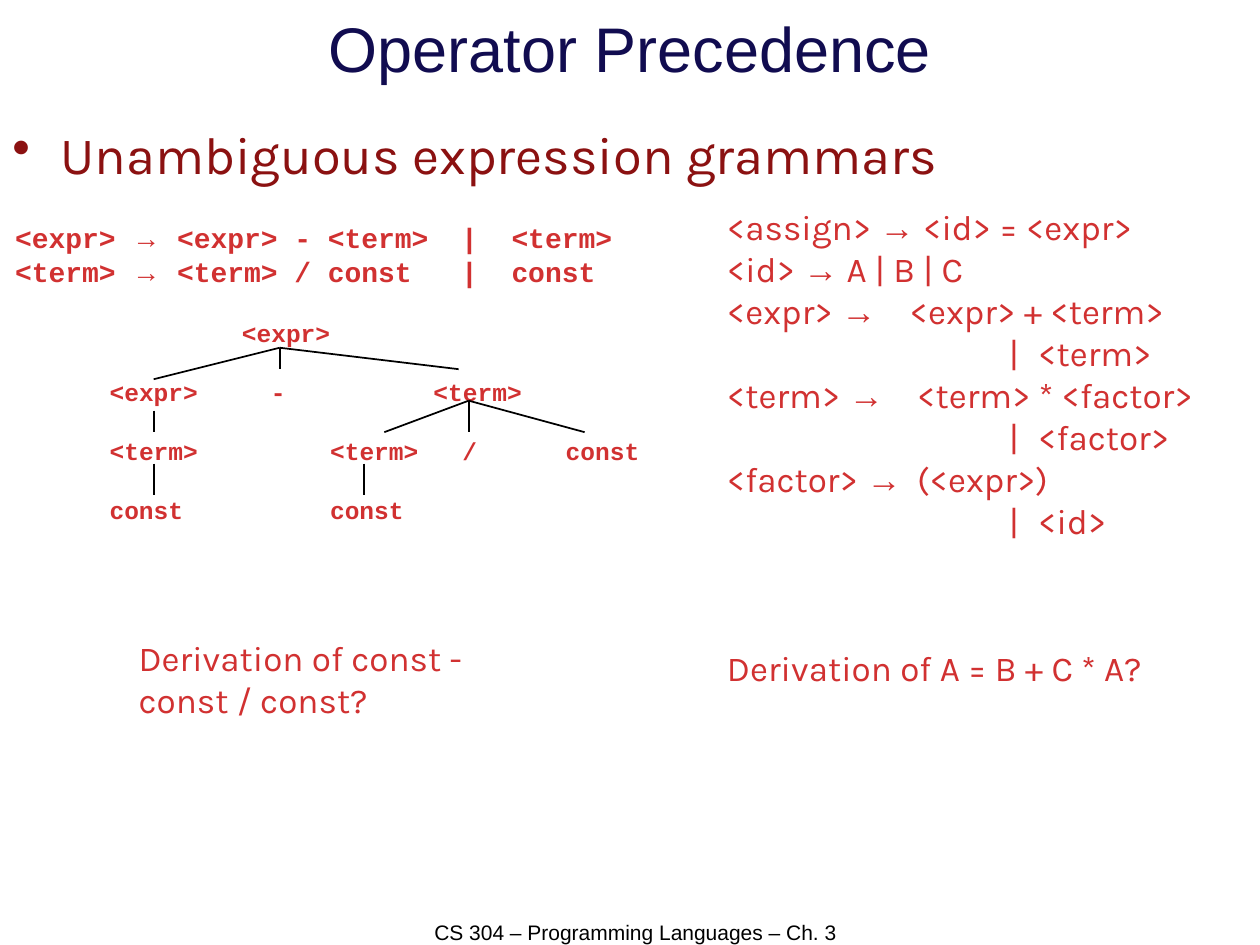
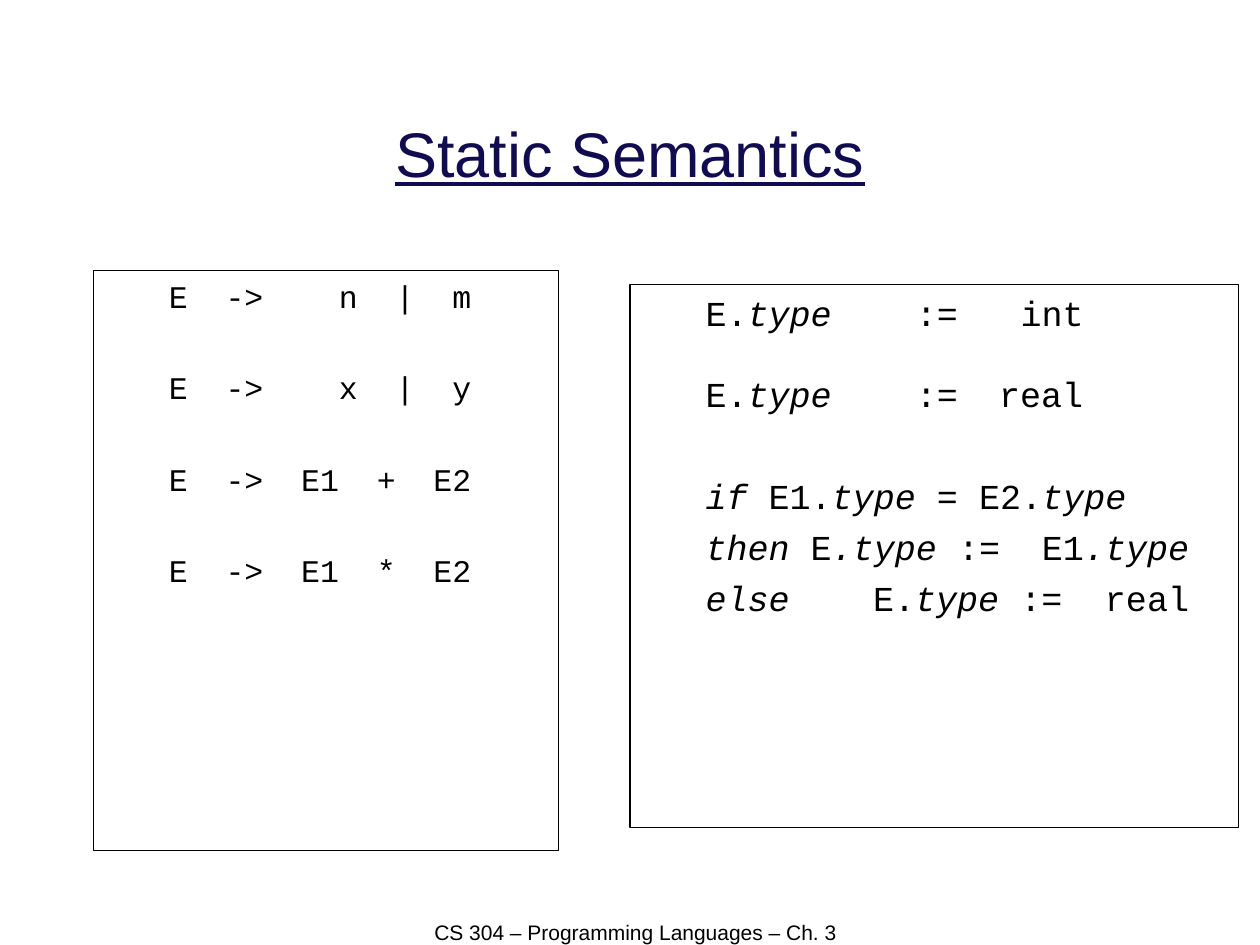
from itertools import groupby

from lxml import etree
from pptx import Presentation
from pptx import util as u
from pptx.dml.color import RGBColor
from pptx.enum import shapes, text
from pptx.oxml import ns

COLORS = {"title": "110C50", "heading": "8B1111", "grammar": "D13131", "black": "000000"}
FOOTER = "CS 304 – Programming Languages – Ch. 3"
INSETS = (0.1, 0.05, 0.1, 0.05)

# Text styles: underscores in the wording switch italics on and off
TITLE = {"name": "Arial", "size": 36, "color": "title"}
FOOTER_STYLE = {"name": "Arial", "size": 12, "color": "black"}
HEADING = {"name": "Karla", "size": 30, "color": "heading"}
RULE = {"name": "Karla", "size": 20, "color": "grammar"}
CODE = {"name": "Courier New", "size": 16, "color": "grammar", "bold": True}
NODE = {**CODE, "size": 14}
PRODUCTION = {"name": "Courier New", "size": 18, "color": "black"}
ACTION = {**PRODUCTION, "size": 20}

# Lines of text: (wording, tab stops in inches, space before in points)
CODE_STOPS = (3.54, 3.94)
CODE_GRAMMAR = [
    ("<expr> → <expr> - <term>\t|\t<term>", CODE_STOPS, 0),
    ("<term> → <term> / const\t|\tconst", CODE_STOPS, 0),
]
ALTERNATIVE_STOPS = (2.24, 2.47)
ASSIGN_GRAMMAR = [
    ("<assign> → <id> = <expr>", (), 0),
    ("<id> → A | B | C", (), 0),
    ("<expr> →\t<expr> + <term>", (1.45,), 0),
    ("\t|\t<term>", ALTERNATIVE_STOPS, 0),
    ("<term> →\t<term> * <factor>", (1.51,), 0),
    ("\t|\t<factor>", ALTERNATIVE_STOPS, 0),
    ("<factor> →\t(<expr>)", (1.51,), 0),
    ("\t|\t<id>", ALTERNATIVE_STOPS, 0),
]

# Parse tree: each level holds (left, symbol)
TREE_TOP, TREE_STEP, NODE_HEIGHT, NODE_CHARACTER = 2.52, 0.47, 0.22, 0.12
TREE_LEVELS = [
    [(1.92, "<expr>")],
    [(0.87, "<expr>"), (2.15, "-"), (3.44, "<term>")],
    [(0.87, "<term>"), (2.62, "<term>"), (3.67, "/"), (4.49, "const")],
    [(0.87, "const"), (2.62, "const")],
]
# Branches: parent point, then the points of its children
TREE_BRANCHES = [
    ((2.22, 2.76), [(1.22, 3.01), (2.22, 2.93), (3.64, 2.93)]),
    ((1.22, 3.26), [(1.22, 3.43)]),
    ((1.22, 3.68), [(1.22, 3.93)]),
    ((3.72, 3.18), [(3.05, 3.43), (3.72, 3.43), (4.64, 3.43)]),
    ((2.89, 3.68), [(2.89, 3.93)]),
]

TERMINAL_STOPS = (0.45, 1.35, 1.8, 2.25)
OPERATION_STOPS = (0.45, 1.05, 1.65, 2.1)
PRODUCTIONS = [
    ("E\t->\tn\t|\tm", TERMINAL_STOPS, 3),
    ("E\t->\tx\t|\ty", TERMINAL_STOPS, 30.6),
    ("E\t->\tE1\t+\tE2", OPERATION_STOPS, 30.6),
    ("E\t->\tE1\t*\tE2", OPERATION_STOPS, 30.6),
]
ACTIONS = [
    ("E._type_\t:=\tint", (1.67, 2.5), 4),
    ("E._type_\t:=\treal", (1.67, 2.33), 22),
    ("_if_ E1._type_ = E2._type_", (), 33.4),
    ("_then_ E_.type_ :=\tE1_.type_", (2.67,), 5),
    ("_else_\tE._type_ :=\treal", (1.33, 3.17), 5),
]


def color(name):
    return RGBColor.from_string(COLORS[name])


def add_runs(paragraph, wording, style):
    for index, part in enumerate(wording.split("_")):
        for is_arrow, letters in groupby(part, lambda letter: letter == "→"):
            run = paragraph.add_run()
            run.text = "".join(letters)
            values = {**style, "size": u.Pt(style["size"])}
            run.font.color.rgb = color(values.pop("color"))
            if is_arrow:
                values["name"] = "Arial"
            if index % 2:
                values["italic"] = True
            for key, value in values.items():
                setattr(run.font, key, value)


def add_tabs(paragraph, stops):
    if stops:
        tab_list = etree.SubElement(paragraph._p.get_or_add_pPr(), ns.qn("a:tabLst"))
        for stop in stops:
            etree.SubElement(tab_list, ns.qn("a:tab"), pos=str(u.Inches(stop)), algn="l")


def fill_text(shape, lines, style, insets=INSETS, anchor="TOP", align="LEFT", leading=None, wrap=True):
    frame = shape.text_frame
    frame.word_wrap = wrap
    frame.vertical_anchor = text.MSO_ANCHOR[anchor]
    for side, inset in zip(("left", "top", "right", "bottom"), insets):
        setattr(frame, f"margin_{side}", u.Inches(inset))
    for index, (wording, stops, space) in enumerate(lines):
        paragraph = frame.add_paragraph() if index else frame.paragraphs[0]
        paragraph.alignment = text.PP_ALIGN[align]
        paragraph.space_before = u.Pt(space)
        if leading:
            paragraph.line_spacing = u.Pt(leading)
        add_tabs(paragraph, stops)
        add_runs(paragraph, wording, style)


def add_text(slide, box, lines, style, **options):
    shape = slide.shapes.add_textbox(*map(u.Inches, box))
    if isinstance(lines, str):
        lines = [(lines, (), 0)]
    fill_text(shape, lines, style, **options)
    return shape


def add_slide(presentation, title, title_box, title_style):
    slide = presentation.slides.add_slide(presentation.slide_layouts[6])
    add_text(slide, (3.17, 7.25, 3.75, 0.25), FOOTER, FOOTER_STYLE, align="CENTER")
    add_text(slide, title_box, title, title_style, anchor="MIDDLE", align="CENTER")
    return slide


def add_heading(slide, wording):
    shape = add_text(slide, (0, 0.92, 10, 6.33), [(wording, (), 7.5)], HEADING)
    properties = shape.text_frame.paragraphs[0]._p.get_or_add_pPr()
    properties.set("marL", str(u.Inches(0.38)))
    properties.set("indent", str(-u.Inches(0.38)))
    etree.SubElement(properties, ns.qn("a:buChar"), char="•")


def add_branch(slide, start, end):
    line = slide.shapes.add_connector(shapes.MSO_CONNECTOR.STRAIGHT, *map(u.Inches, start + end))
    line.line.color.rgb = color("black")
    line.line.width = u.Pt(1)
    etree.SubElement(line._element.spPr, ns.qn("a:effectLst"))


def add_tree(slide):
    for level, nodes in enumerate(TREE_LEVELS):
        top = TREE_TOP + level * TREE_STEP
        for left, symbol in nodes:
            box = (left, top, len(symbol) * NODE_CHARACTER, NODE_HEIGHT)
            add_text(slide, box, symbol, NODE, insets=(0, 0, 0, 0), wrap=False)
    for parent, children in TREE_BRANCHES:
        for child in children:
            add_branch(slide, parent, child)


def add_frame(slide, box, lines, style, leading):
    shape = slide.shapes.add_shape(shapes.MSO_SHAPE.RECTANGLE, *map(u.Inches, box))
    shape.shadow.inherit = False
    shape.fill.background()
    shape.line.color.rgb = color("black")
    shape.line.width = u.Pt(0.75)
    fill_text(shape, lines, style, insets=(0.6, 0.05, 0, 0.05), leading=leading)


def build_precedence(presentation):
    slide = add_slide(presentation, "Operator Precedence", (0, 0, 10, 0.75), TITLE)
    add_heading(slide, "Unambiguous expression grammars")
    add_text(slide, (0.12, 1.75, 5, 0.54), CODE_GRAMMAR, CODE, insets=(0, 0, 0, 0), leading=19.4)
    add_tree(slide)
    deep, shallow = (1.1, *INSETS[1:]), (0.6, *INSETS[1:])
    add_text(slide, (4.67, 1.58, 5.33, 2.77), ASSIGN_GRAMMAR, RULE, insets=deep)
    add_text(slide, (0, 5, 4.67, 0.77), "Derivation of const - const / const?", RULE, insets=deep)
    add_text(slide, (5.17, 5.08, 4.67, 0.44), "Derivation of A = B + C * A?", RULE, insets=shallow)


def build_semantics(presentation):
    title_style = {**TITLE, "underline": True}
    slide = add_slide(presentation, "Static Semantics", (0.75, 0.58, 8.5, 1.25), title_style)
    add_frame(slide, (0.74, 2.15, 3.69, 4.6), PRODUCTIONS, PRODUCTION, 21.6)
    add_frame(slide, (5, 2.26, 4.83, 4.31), ACTIONS, ACTION, 24.4)


def main():
    presentation = Presentation()
    presentation.slide_width, presentation.slide_height = u.Inches(10), u.Inches(7.5)
    build_precedence(presentation)
    build_semantics(presentation)
    presentation.save("out.pptx")


if __name__ == "__main__":
    main()
